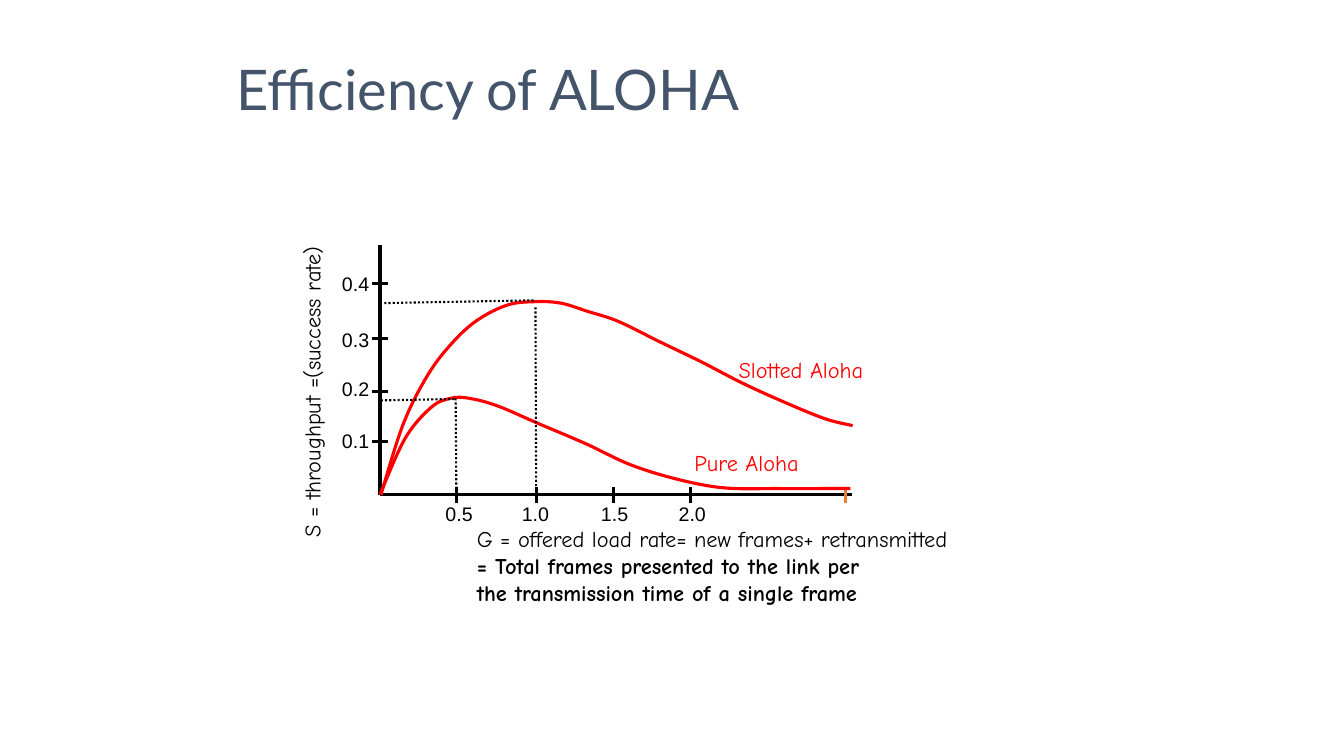
from dataclasses import dataclass
from typing import NamedTuple

from lxml.etree import SubElement
from pptx import Presentation
from pptx.dml.color import RGBColor
from pptx.enum.dml import MSO_LINE
from pptx.enum.shapes import MSO_CONNECTOR
from pptx.enum.text import MSO_ANCHOR, PP_ALIGN
from pptx.oxml import parse_xml
from pptx.oxml.ns import nsdecls, qn
from pptx.util import Pt


@dataclass(frozen=True)
class Theme:
    title: RGBColor = RGBColor(0x44, 0x54, 0x6A)
    ink: RGBColor = RGBColor(0, 0, 0)
    curve: RGBColor = RGBColor(0xFF, 0, 0)
    accent: RGBColor = RGBColor(0xED, 0x7D, 0x31)
    title_font: str = "Lato"
    note_font: str = "Comic Neue"
    tick_font: str = "Arial"
    title_size: float = 40
    note_size: float = 16
    tick_size: float = 14
    solid_width: float = 2.25
    guide_width: float = 1.5


THEME = Theme()


class Point(NamedTuple):
    x: float
    y: float


class Tick(NamedTuple):
    text: str
    at: float
    label_at: float  # centre of the label along the axis


@dataclass(frozen=True)
class Line:
    start: Point
    end: Point
    color: RGBColor = THEME.ink
    dotted: bool = False


@dataclass(frozen=True)
class Label:
    lines: tuple[str, ...]
    left: float
    top: float
    width: float
    height: float
    color: RGBColor = THEME.ink
    font: str = THEME.note_font
    size: float = THEME.note_size
    bold_from: int = 99  # first line set in bold
    align: PP_ALIGN = PP_ALIGN.LEFT
    anchor: MSO_ANCHOR = MSO_ANCHOR.TOP
    wrap: bool = True
    rotation: float = 0


def draw_line(page, line: Line) -> None:
    connector = page.shapes.add_connector(
        MSO_CONNECTOR.STRAIGHT, *map(Pt, (*line.start, *line.end)))
    connector.line.color.rgb = line.color
    connector.line.width = Pt(THEME.guide_width if line.dotted else THEME.solid_width)
    if line.dotted:
        connector.line.dash_style = MSO_LINE.ROUND_DOT
    SubElement(connector._element.spPr, qn("a:effectLst"))


def draw_label(page, label: Label) -> None:
    box = page.shapes.add_textbox(
        *map(Pt, (label.left, label.top, label.width, label.height)))
    box.rotation = label.rotation
    frame = box.text_frame
    frame.word_wrap = label.wrap
    frame.vertical_anchor = label.anchor
    for index, text in enumerate(label.lines):
        para = frame.add_paragraph() if index else frame.paragraphs[0]
        para.alignment = label.align
        span = para.add_run()
        span.text = text
        span.font.name = label.font
        span.font.size = Pt(label.size)
        span.font.bold = index >= label.bold_from
        span.font.color.rgb = label.color


def draw_curve(page, knots: list[Point]) -> None:
    """Draw a smooth Bezier curve through the knots (Catmull-Rom handles)."""
    padded = [knots[0], *knots, knots[-1]]
    controls = []
    for before, start, end, after in zip(padded, padded[1:], padded[2:], padded[3:]):
        controls += [
            (start.x + (end.x - before.x) / 6, start.y + (end.y - before.y) / 6),
            (end.x - (after.x - start.x) / 6, end.y - (after.y - start.y) / 6),
            end,
        ]
    builder = page.shapes.build_freeform(Pt(knots[0].x), Pt(knots[0].y))
    builder.add_line_segments([(Pt(x), Pt(y)) for x, y in controls], close=False)
    curve = builder.convert_to_shape()
    curve.shadow.inherit = False
    curve.fill.background()
    curve.line.color.rgb = THEME.curve
    curve.line.width = Pt(THEME.solid_width)

    # Every three straight segments become one cubic segment
    segments = list(curve._element.iter(qn("a:lnTo")))
    for first in range(0, len(segments), 3):
        cubic = parse_xml(f"<a:cubicBezTo {nsdecls('a')}/>")
        segments[first].addprevious(cubic)
        for segment in segments[first:first + 3]:
            cubic.append(segment[0])
            segment.getparent().remove(segment)


ORIGIN = Point(271.5, 353.5)
TICK_HALF = 5.5
TICK_BOX = Point(34, 24)
X_TICKS = [Tick("0.5", 326, 328), Tick("1.0", 383, 382.5),
           Tick("1.5", 438.5, 439), Tick("2.0", 493, 494.5)]
Y_TICKS = [Tick("0.1", 315.5, 314.5), Tick("0.2", 279.5, 277.5),
           Tick("0.3", 241.5, 242.5), Tick("0.4", 202.5, 202.5)]
X_END_TICK = 604

PURE = [Point(*pair) for pair in (
    (271.5, 353), (289.5, 313), (308, 291), (322, 284.5), (335, 284.5),
    (355.5, 290), (384.5, 302.5), (418.5, 317), (450.5, 332), (484.5, 342.5),
    (517.5, 348.5), (556, 349), (587.5, 349), (607.5, 349))]
SLOTTED = [Point(*pair) for pair in (
    (272, 353.5), (288, 303), (305.5, 268), (322.5, 245.5), (340.5, 229),
    (362, 218), (381.5, 215.5), (400.5, 216.5), (420, 222.5), (441.5, 229.5),
    (471, 244), (501, 258.5), (530, 273.5), (558.5, 286.5), (589, 299), (609, 304))]

GUIDES = [
    Line(Point(272, 286), Point(326, 285), dotted=True),
    Line(Point(325.5, 284.5), Point(326, 353.5), dotted=True),
    Line(Point(382.5, 219.5), Point(383, 353), dotted=True),
    Line(Point(274.5, 216.5), Point(382.5, 214.5), dotted=True),
]
LABELS = [
    Label(("Efficiency of ALOHA",), 162, 18, 640, 90, THEME.title,
          THEME.title_font, THEME.title_size, anchor=MSO_ANCHOR.MIDDLE),
    Label(("S = throughput =(success rate)",), 93.5, 248.5, 258.5, 26.5, rotation=270),
    Label(("G = offered load rate= new frames+ retransmitted",
           "= Total frames presented to the link per",
           "the transmission time of a single frame"),
          333.5, 371.5, 391.5, 65, bold_from=1),
    Label(("Pure Aloha",), 489, 317.5, 94.5, 26.5, THEME.curve),
    Label(("Slotted Aloha",), 520.5, 250.5, 118, 26.5, THEME.curve),
]


def x_tick_mark(at: float, color: RGBColor = THEME.ink) -> Line:
    return Line(Point(at, ORIGIN.y - TICK_HALF), Point(at, ORIGIN.y + TICK_HALF), color)


def y_tick_mark(at: float) -> Line:
    return Line(Point(ORIGIN.x - TICK_HALF, at), Point(ORIGIN.x + TICK_HALF, at))


def tick_label(text: str, left: float, top: float) -> Label:
    return Label((text,), left, top, *TICK_BOX, font=THEME.tick_font,
                 size=THEME.tick_size, align=PP_ALIGN.CENTER, wrap=False)


deck = Presentation()
deck.slide_width, deck.slide_height = Pt(960), Pt(540)
page = deck.slides.add_slide(deck.slide_layouts[6])

# Axes and tick marks
axes = [Line(ORIGIN, Point(608.5, ORIGIN.y)), Line(ORIGIN, Point(ORIGIN.x, 175))]
marks = [x_tick_mark(tick.at) for tick in X_TICKS]
marks += [x_tick_mark(X_END_TICK, THEME.accent)]
marks += [y_tick_mark(tick.at) for tick in Y_TICKS]
for line in axes + marks:
    draw_line(page, line)

# Throughput curves and guides to their peaks
for knots in (PURE, SLOTTED):
    draw_curve(page, knots)
for guide in GUIDES:
    draw_line(page, guide)

# Title, captions and tick labels
x_labels = [tick_label(tick.text, tick.label_at - TICK_BOX.x / 2, 355) for tick in X_TICKS]
y_labels = [tick_label(tick.text, 237, tick.label_at - TICK_BOX.y / 2) for tick in Y_TICKS]
for label in LABELS + x_labels + y_labels:
    draw_label(page, label)

deck.save("out.pptx")
